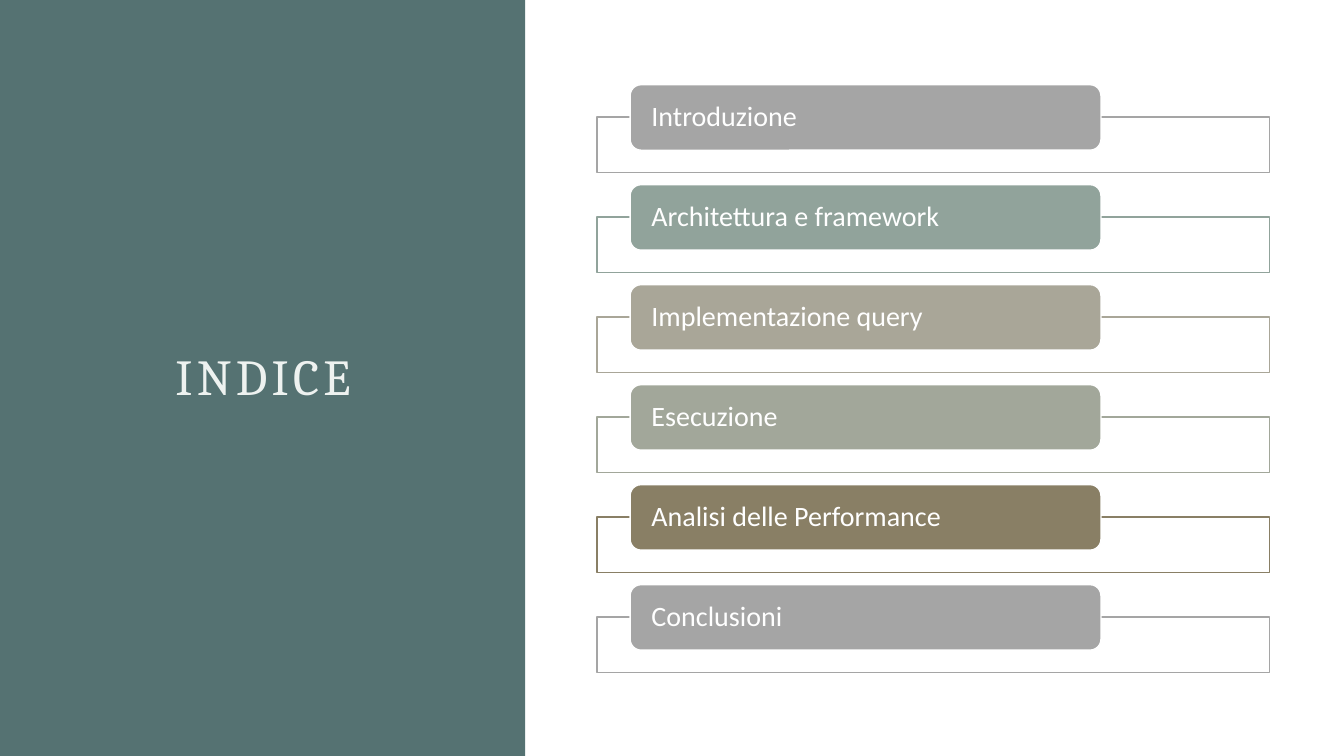
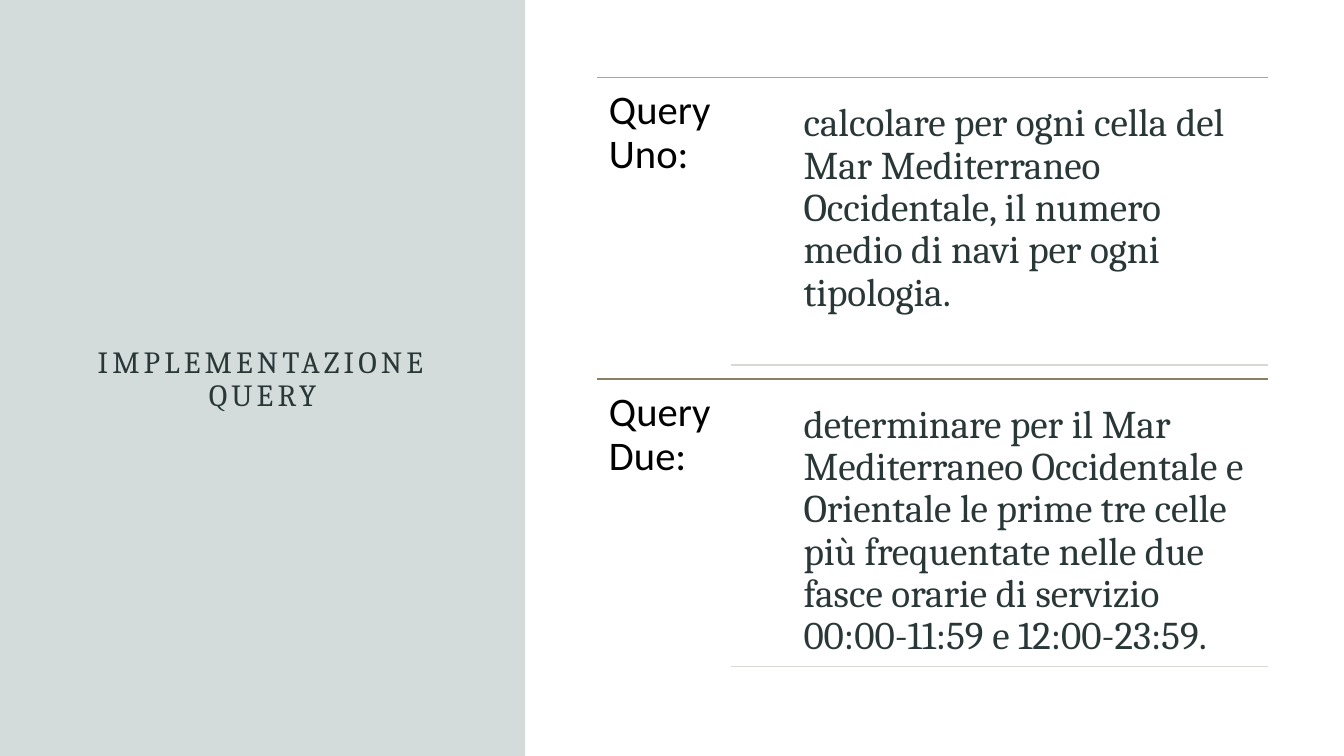
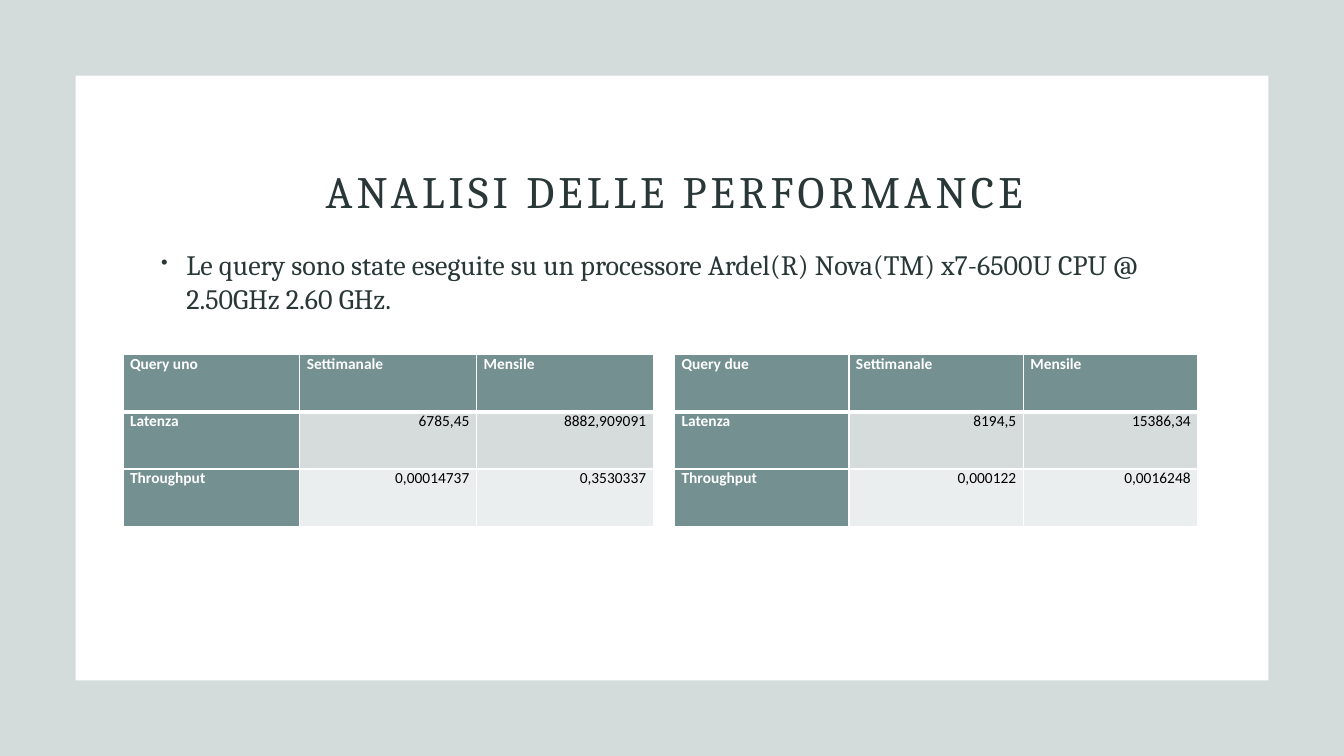
from lxml import etree
from pptx import Presentation
from pptx.dml.color import RGBColor
from pptx.enum.shapes import MSO_CONNECTOR, MSO_SHAPE
from pptx.enum.text import MSO_ANCHOR, PP_ALIGN
from pptx.oxml.ns import qn
from pptx.util import Inches, Pt

# Enum members
LINE = MSO_CONNECTOR.STRAIGHT
RECT, ROUND = MSO_SHAPE.RECTANGLE, MSO_SHAPE.ROUNDED_RECTANGLE
TOP, MID, LOW = MSO_ANCHOR.TOP, MSO_ANCHOR.MIDDLE, MSO_ANCHOR.BOTTOM
LEFT, RIGHT = PP_ALIGN.LEFT, PP_ALIGN.RIGHT
CENTER, JUST = PP_ALIGN.CENTER, PP_ALIGN.JUSTIFY

# Colours
WHITE = RGBColor(0xFF, 0xFF, 0xFF)
BLACK = RGBColor(0, 0, 0)
TEAL = RGBColor(0x55, 0x72, 0x72)
PALE = RGBColor(0xEE, 0xF2, 0xF0)
INK = RGBColor(0x29, 0x37, 0x37)
GRAY = RGBColor(0xA5, 0xA5, 0xA5)
SAGE = RGBColor(0x91, 0xA3, 0x9B)
SAND = RGBColor(0xA9, 0xA6, 0x98)
MOSS = RGBColor(0xA2, 0xA7, 0x9A)
OLIVE = RGBColor(0x89, 0x7F, 0x65)
MIST = RGBColor(0xD7, 0xD9, 0xD4)
HEAD = RGBColor(0x74, 0x90, 0x90)
BANDS = (RGBColor(0xD6, 0xDB, 0xDB), RGBColor(0xEB, 0xEE, 0xEE))

SANS, SERIF = "Calibri", "Cambria"
WIDE, HIGH = 13.33, 7.5
SIDE = 5.21


def write(frame, text, size=20, font=SERIF, color=INK, bold=False,
          align=LEFT, space=None, before=0, after=0, track=0,
          indent=0, hang=0, level=0, bullet=None):
    """Put one formatted paragraph into a text frame."""
    para = frame.paragraphs[0]
    para.alignment, para.level = align, level
    para.space_before, para.space_after = Pt(before), Pt(after)
    if space:
        para.line_spacing = space
    props = para._p.get_or_add_pPr()
    props.set("marL", str(Inches(indent)))
    props.set("indent", str(Inches(-hang)))
    if bullet:
        etree.SubElement(props, qn("a:buSzPct"), val="70000")
        etree.SubElement(props, qn("a:buChar"), char=bullet)
    run = para.add_run()
    run.text = text
    run.font.size, run.font.name, run.font.bold = Pt(size), font, bold
    run.font.color.rgb = color
    if track:
        run._r.get_or_add_rPr().set("spc", str(track * 100))


class Deck:
    def __init__(self):
        self.show = Presentation()
        self.show.slide_width = Inches(WIDE)
        self.show.slide_height = Inches(HIGH)
        self.slide = None

    def new(self):
        self.slide = self.show.slides.add_slide(self.show.slide_layouts[6])

    def box(self, area, fill, kind=RECT, line=None, alpha=None):
        shape = self.slide.shapes.add_shape(kind, *map(Inches, area))
        shape.shadow.inherit = False
        shape.fill.solid()
        shape.fill.fore_color.rgb = fill
        if alpha:
            tint = shape._element.spPr.find(qn("a:solidFill"))[0]
            etree.SubElement(tint, qn("a:alpha"), val=str(alpha * 1000))
        if line is None:
            shape.line.fill.background()
        else:
            shape.line.color.rgb = line
            shape.line.width = Pt(1)
        return shape

    def fit(self, shape, anchor, inset):
        frame = shape.text_frame
        frame.word_wrap, frame.vertical_anchor = True, anchor
        frame.margin_left = frame.margin_right = Inches(inset[0])
        frame.margin_top = frame.margin_bottom = Inches(inset[1])
        return frame

    def text(self, area, text, anchor=TOP, inset=(0.1, 0.05), **style):
        shape = self.slide.shapes.add_textbox(*map(Inches, area))
        write(self.fit(shape, anchor, inset), text, **style)

    def title(self, area, text, size, color=INK, anchor=LOW):
        self.text(area, text, anchor, size=size, color=color,
                  align=CENTER, space=0.9, track=3)

    def pill(self, area, text, fill):
        shape = self.box(area, fill, ROUND, WHITE)
        write(self.fit(shape, MID, (0.18, 0)), text, font=SANS,
              color=WHITE, space=0.9)

    def rule(self, left, right, top, color):
        line = self.slide.shapes.add_connector(
            LINE, *map(Inches, (left, top, right, top)))
        line.line.color.rgb = color
        line.line.width = Pt(1)
        etree.SubElement(line._element.spPr, qn("a:effectLst"))

    def cell(self, cell, text, row, col):
        label = row == 0 or col == 0
        cell.margin_left = cell.margin_right = Inches(0.07)
        cell.margin_top = cell.margin_bottom = 0
        props = cell._tc.get_or_add_tcPr()
        for side in "LRTB":
            thick = (row, side) in ((0, "B"), (1, "T"))
            edge = etree.SubElement(props, qn("a:ln" + side),
                                    w=str(Pt(3 if thick else 1)))
            fill = etree.SubElement(edge, qn("a:solidFill"))
            etree.SubElement(fill, qn("a:srgbClr"), val=str(WHITE))
        cell.fill.solid()
        cell.fill.fore_color.rgb = HEAD if label else BANDS[row - 1]
        write(cell.text_frame, text, size=11, font=SANS, bold=label,
              color=WHITE if label else BLACK,
              align=JUST if label else RIGHT, after=4)

    def table(self, left, top, width, height, rows):
        area = map(Inches, (left, top, width, height))
        grid = self.slide.shapes.add_table(
            len(rows), len(rows[0]), *area).table
        grid.horz_banding = False
        for row, items in enumerate(rows):
            for col, item in enumerate(items):
                self.cell(grid.cell(row, col), item, row, col)


deck = Deck()

# Slide 1: index
deck.new()
deck.box((0, 0, SIDE, HIGH), TEAL)
deck.title((0.94, 0.75, 3.34, 3.33), "INDICE", 36, PALE)
TOPICS = (
    ("Introduzione", GRAY),
    ("Architettura e framework", SAGE),
    ("Implementazione query", SAND),
    ("Esecuzione", MOSS),
    ("Analisi delle Performance", OLIVE),
    ("Conclusioni", GRAY),
)
for num, (topic, color) in enumerate(TOPICS):
    top = 0.84 + num * 0.992
    deck.box((5.92, top + 0.32, 6.67, 0.55), WHITE, line=color, alpha=90)
    deck.pill((6.25, top, 4.67, 0.65), topic, color)

# Slide 2: the two queries
deck.new()
deck.box((0, 0, SIDE, HIGH), TEAL, alpha=25)
deck.title((0.75, 0.77, 3.71, 6), "IMPLEMENTAZIONE QUERY", 22, anchor=MID)
TASKS = (
    ("Query Uno:", MOSS,
     "calcolare per ogni cella del Mar Mediterraneo Occidentale, "
     "il numero medio di navi per ogni tipologia."),
    ("Query Due:", OLIVE,
     "determinare per il Mar Mediterraneo Occidentale e Orientale "
     "le prime tre celle più frequentate nelle due fasce orarie "
     "di servizio 00:00-11:59 e 12:00-23:59."),
)
PAD = (0.12, 0.12)
for num, (name, color, task) in enumerate(TASKS):
    top = 0.77 + num * 2.99
    deck.rule(5.92, 12.58, top, color)
    deck.text((5.92, top, 1.33, 2.99), name, inset=PAD, size=29,
              font=SANS, color=BLACK, space=0.9)
    deck.text((7.35, top + 0.13, 5.23, 2.72), task, inset=PAD, size=28,
              space=0.9, indent=0.5, level=1)
    deck.rule(7.25, 12.58, top + 2.85, MIST)

# Slide 3: performance
deck.new()
deck.box((0, 0, WIDE, HIGH), TEAL, alpha=25)
deck.box((0.75, 0.75, 11.83, 6), WHITE)
deck.title((1.5, 1.12, 10.38, 1.09), "ANALISI DELLE PERFORMANCE", 32)
deck.text((1.5, 2.41, 10.38, 3.91),
          "Le query sono state eseguite su un processore Ardel(R) "
          "Nova(TM) x7-6500U CPU @ 2.50GHz 2.60 GHz.",
          before=10, indent=0.25, hang=0.25, bullet="•")
PERIODS = ("Settimanale", "Mensile")
deck.table(1.22, 3.52, 5.26, 1.7, (
    ("Query uno", *PERIODS),
    ("Latenza", "6785,45", "8882,909091"),
    ("Throughput", "0,00014737", "0,3530337"),
))
deck.table(6.69, 3.52, 5.19, 1.7, (
    ("Query due", *PERIODS),
    ("Latenza", "8194,5", "15386,34"),
    ("Throughput", "0,000122", "0,0016248"),
))

deck.show.save("out.pptx")
